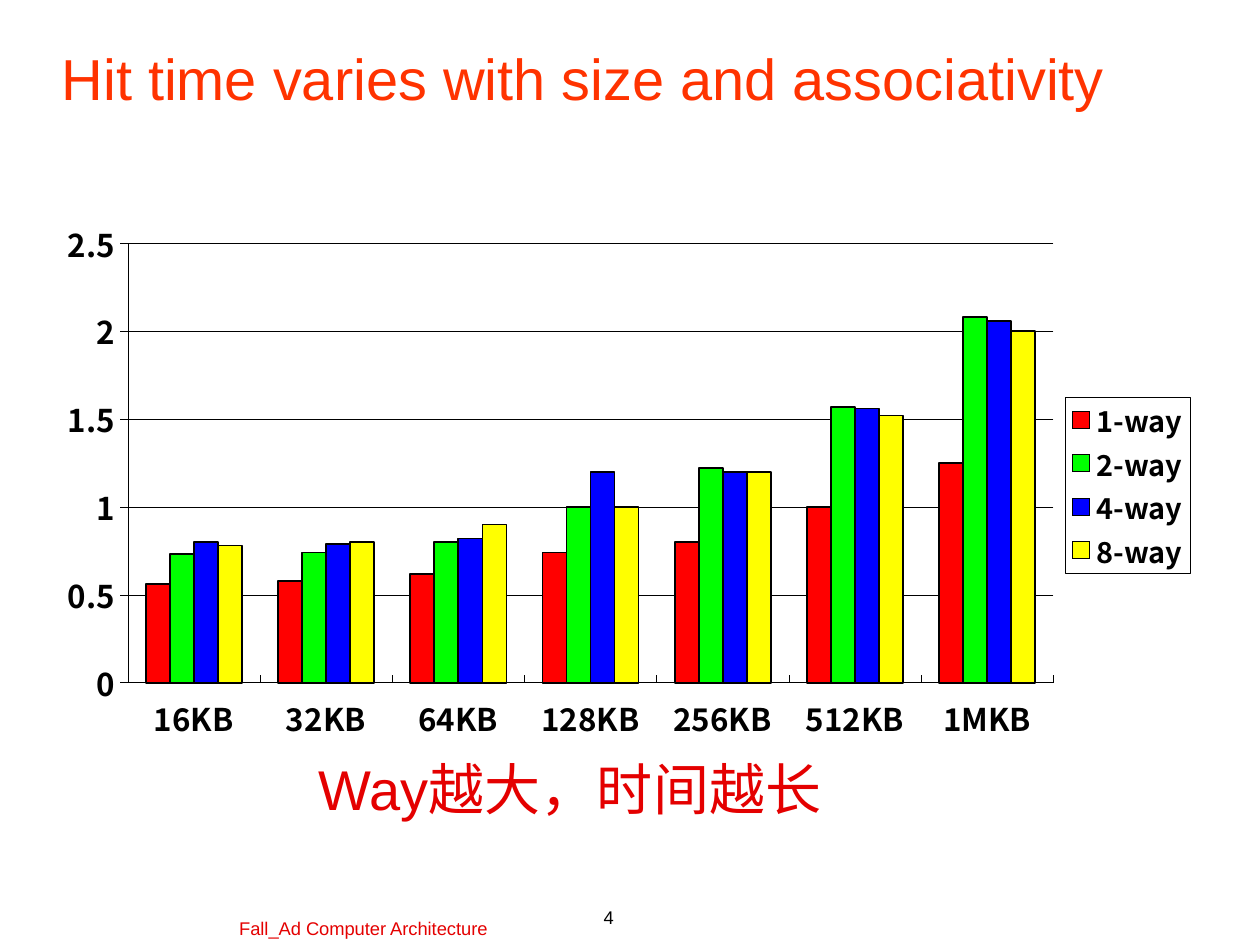
"""Build a slide charting cache hit time by size and associativity."""
from lxml.etree import SubElement
from pptx import Presentation
from pptx.chart.data import CategoryChartData
from pptx.dml.color import RGBColor
from pptx.enum.chart import XL_CHART_TYPE, XL_LEGEND_POSITION, XL_TICK_LABEL_POSITION, XL_TICK_MARK
from pptx.enum.text import MSO_ANCHOR, PP_ALIGN
from pptx.oxml import parse_xml
from pptx.oxml.ns import nsdecls, qn
from pptx.util import Inches, Pt

BLACK = RGBColor(0, 0, 0)
WHITE = RGBColor(255, 255, 255)
ORANGE = RGBColor(0xFF, 0x33, 0x00)
CRIMSON = RGBColor(0xE4, 0x00, 0x00)
RED = RGBColor(255, 0, 0)
GREEN = RGBColor(0, 255, 0)
BLUE = RGBColor(0, 0, 255)
YELLOW = RGBColor(255, 255, 0)
LATIN = "Arial"
HAN = "Noto Sans CJK SC"

deck = Presentation()
deck.slide_width = Inches(10)
deck.slide_height = Inches(7.5)
slide = deck.slides.add_slide(deck.slide_layouts[6])


def write(text, at, size, color, align=PP_ALIGN.LEFT, anchor=MSO_ANCHOR.TOP, fill=None):
    box = slide.shapes.add_textbox(*map(Inches, at))
    if fill is not None:
        box.fill.solid()
        box.fill.fore_color.rgb = fill
    frame = box.text_frame
    frame.word_wrap = True
    frame.vertical_anchor = anchor
    line = frame.paragraphs[0]
    line.alignment = align
    run = line.add_run()
    run.text = text
    font = run.font
    font.size = Pt(size)
    font.name = LATIN
    font.color.rgb = color
    SubElement(font._element, qn("a:ea"), typeface=HAN)


def place(part, index, at, inner=False):
    for old in part.findall(qn("c:layout")):
        part.remove(old)
    layout = parse_xml(f"<c:layout {nsdecls('c')}><c:manualLayout/></c:layout>")
    rules = [("layoutTarget", "inner")] if inner else []
    rules += [("xMode", "edge"), ("yMode", "edge"), *zip("xywh", map(str, at))]
    for tag, val in rules:
        SubElement(layout[0], qn(f"c:{tag}"), val=val)
    part.insert(index, layout)


write("4", (2.89, 7.14, 2.08, 0.5), 10.5, BLACK, align=PP_ALIGN.RIGHT)
write("Fall_Ad Computer Architecture", (1.8, 7, 3.83, 0.5), 10.5, CRIMSON,
      anchor=MSO_ANCHOR.BOTTOM)
write("Hit time varies with size and associativity", (0.39, 0, 9.41, 1.23), 33, ORANGE,
      anchor=MSO_ANCHOR.MIDDLE, fill=WHITE)

ways = [
    ("1-way", RED, (0.56, 0.58, 0.62, 0.74, 0.8, 1, 1.25)),
    ("2-way", GREEN, (0.73, 0.74, 0.8, 1, 1.22, 1.57, 2.08)),
    ("4-way", BLUE, (0.8, 0.79, 0.82, 1.2, 1.2, 1.56, 2.06)),
    ("8-way", YELLOW, (0.78, 0.8, 0.9, 1, 1.2, 1.52, 2)),
]
data = CategoryChartData()
data.categories = ["16KB", "32KB", "64KB", "128KB", "256KB", "512KB", "1MKB"]
for name, color, times in ways:
    data.add_series(name, times)
chart = slide.shapes.add_chart(
    XL_CHART_TYPE.COLUMN_CLUSTERED, *map(Inches, (0.47, 1.67, 9.07, 4.36)), data).chart
chart.has_title = False
chart.has_legend = True
legend = chart.legend
legend.position = XL_LEGEND_POSITION.RIGHT
legend.include_in_layout = False

plot = chart.plots[0]
plot.gap_width = 150
plot.overlap = 0
plot.vary_by_categories = False
for bars, (name, color, times) in zip(plot.series, ways):
    bars.format.fill.solid()
    bars.format.fill.fore_color.rgb = color
    bars.format.line.color.rgb = BLACK
    bars.format.line.width = Pt(1)
    bars.invert_if_negative = False

sizes, times = chart.category_axis, chart.value_axis
sizes.tick_label_position = XL_TICK_LABEL_POSITION.LOW
sizes.major_tick_mark = XL_TICK_MARK.INSIDE
times.major_tick_mark = XL_TICK_MARK.CROSS
times.minimum_scale, times.maximum_scale, times.major_unit = 0, 2.5, 0.5
times.has_major_gridlines = True
for rule in (sizes.format.line, times.format.line, times.major_gridlines.format.line):
    rule.color.rgb = BLACK
    rule.width = Pt(0.25)

for font, size in ((chart.font, 17.9), (sizes.tick_labels.font, 17.9),
                   (times.tick_labels.font, 17.9), (legend.font, 16.5)):
    font.size = Pt(size)
    font.bold = True
    font.name = HAN
    font.color.rgb = BLACK

place(chart._chartSpace.chart.plotArea, 0, (0.06, 0.06, 0.81, 0.8), inner=True)
key = legend._element
place(key, 1, (0.88, 0.34, 0.11, 0.32))
key.find(qn("c:txPr")).addprevious(parse_xml(
    f'<c:spPr {nsdecls("c", "a")}><a:solidFill><a:srgbClr val="{WHITE}"/></a:solidFill>'
    f'<a:ln w="{Pt(0.25)}"><a:solidFill><a:srgbClr val="{BLACK}"/></a:solidFill></a:ln></c:spPr>'))

write("Way越大，时间越长", (1.22, 5.94, 6.61, 0.64), 32, CRIMSON, align=PP_ALIGN.CENTER)

deck.save("out.pptx")
